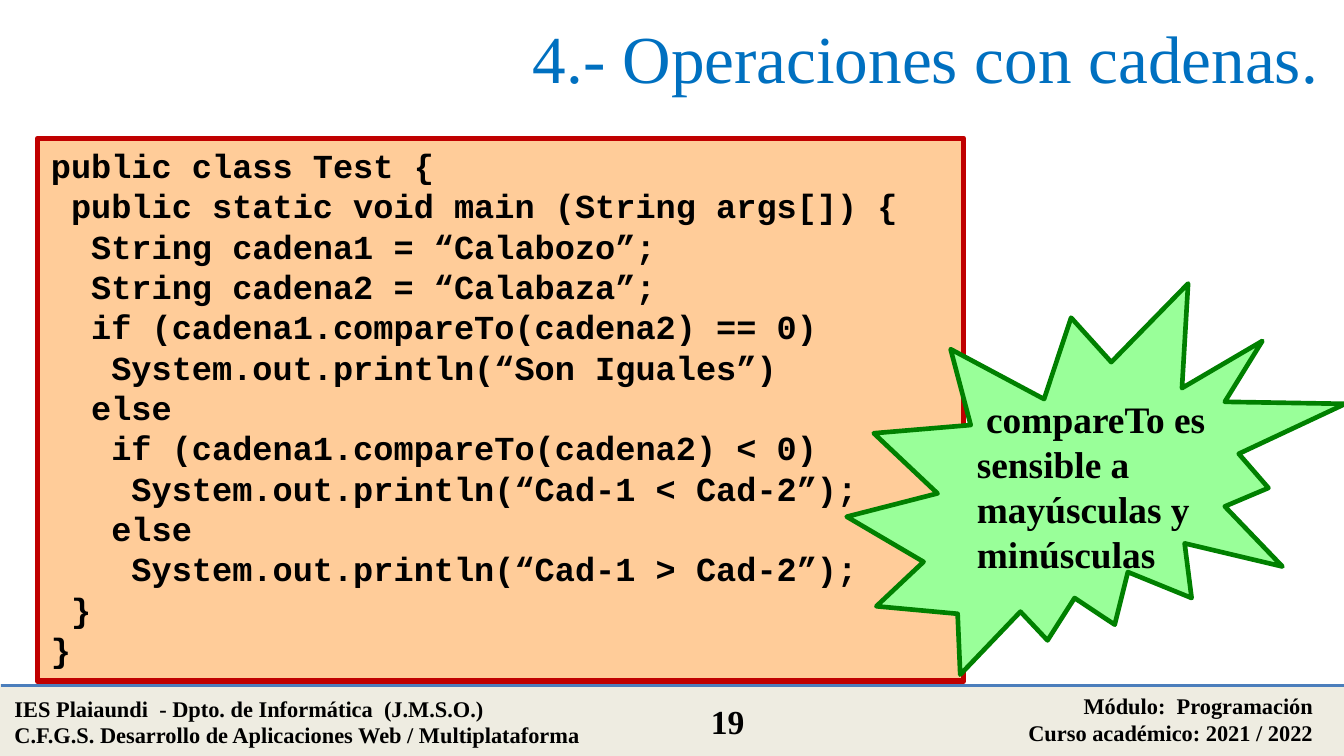
from lxml import etree
from pptx import Presentation
from pptx.dml.color import RGBColor
from pptx.enum.shapes import MSO_CONNECTOR, MSO_SHAPE
from pptx.enum.text import MSO_ANCHOR, PP_ALIGN
from pptx.oxml.ns import qn
from pptx.util import Inches, Pt

LEFT, CENTER, RIGHT = PP_ALIGN.LEFT, PP_ALIGN.CENTER, PP_ALIGN.RIGHT
TOP, MIDDLE = MSO_ANCHOR.TOP, MSO_ANCHOR.MIDDLE
RECTANGLE, BURST = MSO_SHAPE.RECTANGLE, MSO_SHAPE.EXPLOSION2
STRAIGHT = MSO_CONNECTOR.STRAIGHT

BLACK = RGBColor(0x00, 0x00, 0x00)
TITLE_BLUE = RGBColor(0x00, 0x70, 0xC0)
RULE_BLUE = RGBColor(0x4B, 0x7E, 0xBC)
FOOTER_BEIGE = RGBColor(0xEE, 0xEC, 0xE1)
CODE_ORANGE = RGBColor(0xFF, 0xCC, 0x99)
CODE_RED = RGBColor(0xC0, 0x00, 0x00)
BURST_LIGHT = RGBColor(0x99, 0xFF, 0x99)
BURST_GREEN = RGBColor(0x00, 0x80, 0x00)
SERIF, MONO = "Times New Roman", "Courier New"

TITLE = "4.- Operaciones con cadenas."
CODE = [
    "public class Test {",
    " public static void main (String args[]) {",
    "  String cadena1 = “Calabozo”;",
    "  String cadena2 = “Calabaza”;",
    "  if (cadena1.compareTo(cadena2) == 0)",
    "   System.out.println(“Son Iguales”)",
    "  else",
    "   if (cadena1.compareTo(cadena2) < 0)",
    "    System.out.println(“Cad-1 < Cad-2”);",
    "   else",
    "    System.out.println(“Cad-1 > Cad-2”);",
    " }",
    "}",
]
NOTE = [" compareTo es sensible a mayúsculas y minúsculas"]
SCHOOL = [
    "IES Plaiaundi  - Dpto. de Informática  (J.M.S.O.)",
    "C.F.G.S. Desarrollo de Aplicaciones Web / Multiplataforma",
]
COURSE = ["Módulo:  Programación", "Curso académico: 2021 / 2022"]
FOOTER = [
    (SCHOOL, (0.01, 5.12, 4.66, 0.5), 12, LEFT),
    (COURSE, (5.87, 5.1, 4, 0.5), 12, RIGHT),
    (["19"], (5.01, 5.17, 0.81, 0.4), 18, CENTER),
]


def inches(box):
    return [Inches(length) for length in box]


def write(frame, lines, size, font=SERIF, color=BLACK, bold=True, align=LEFT, anchor=TOP):
    frame.word_wrap = True
    frame.vertical_anchor = anchor
    for index, line in enumerate(lines):
        paragraph = frame.add_paragraph() if index else frame.paragraphs[0]
        paragraph.alignment = align
        run = paragraph.add_run()
        run.text = line
        run.font.size = Pt(size)
        run.font.name = font
        run.font.bold = bold
        run.font.color.rgb = color


def add_panel(slide, kind, box, fill, line, width):
    panel = slide.shapes.add_shape(kind, *inches(box))
    panel.shadow.inherit = False
    panel.fill.solid()
    panel.fill.fore_color.rgb = fill
    panel.line.color.rgb = line
    panel.line.width = Pt(width)
    return panel


def add_footer(slide):
    add_panel(slide, RECTANGLE, (0.01, 5.1, 10, 0.52), FOOTER_BEIGE, FOOTER_BEIGE, 2)
    rule = slide.shapes.add_connector(STRAIGHT, *inches((0.01, 5.1, 10.01, 5.1)))
    rule.line.color.rgb = RULE_BLUE
    rule.line.width = Pt(2)
    etree.SubElement(rule._element.spPr, qn("a:effectLst"))
    for lines, box, size, align in FOOTER:
        label = slide.shapes.add_textbox(*inches(box))
        write(label.text_frame, lines, size, align=align)


def main():
    deck = Presentation()
    deck.slide_width = Inches(10)
    deck.slide_height = deck.slide_width * 9 // 16
    slide = deck.slides.add_slide(deck.slide_layouts[5])
    add_footer(slide)

    title = slide.shapes.title
    title.left, title.top, title.width, title.height = inches((1.23, 0, 8.68, 0.84))
    write(title.text_frame, [TITLE], 36, color=TITLE_BLUE, bold=False, align=RIGHT, anchor=MIDDLE)

    code = add_panel(slide, RECTANGLE, (0.28, 1.03, 6.89, 4.04), CODE_ORANGE, CODE_RED, 3)
    write(code.text_frame, CODE, 18, font=MONO)

    add_panel(slide, BURST, (6.3, 2.11, 3.71, 2.91), BURST_LIGHT, BURST_GREEN, 2.5)
    note = slide.shapes.add_textbox(*inches((7.17, 2.83, 2.17, 1.52)))
    note.text_frame.margin_top = Inches(0.12)
    write(note.text_frame, NOTE, 20)

    deck.save("out.pptx")


if __name__ == "__main__":
    main()
